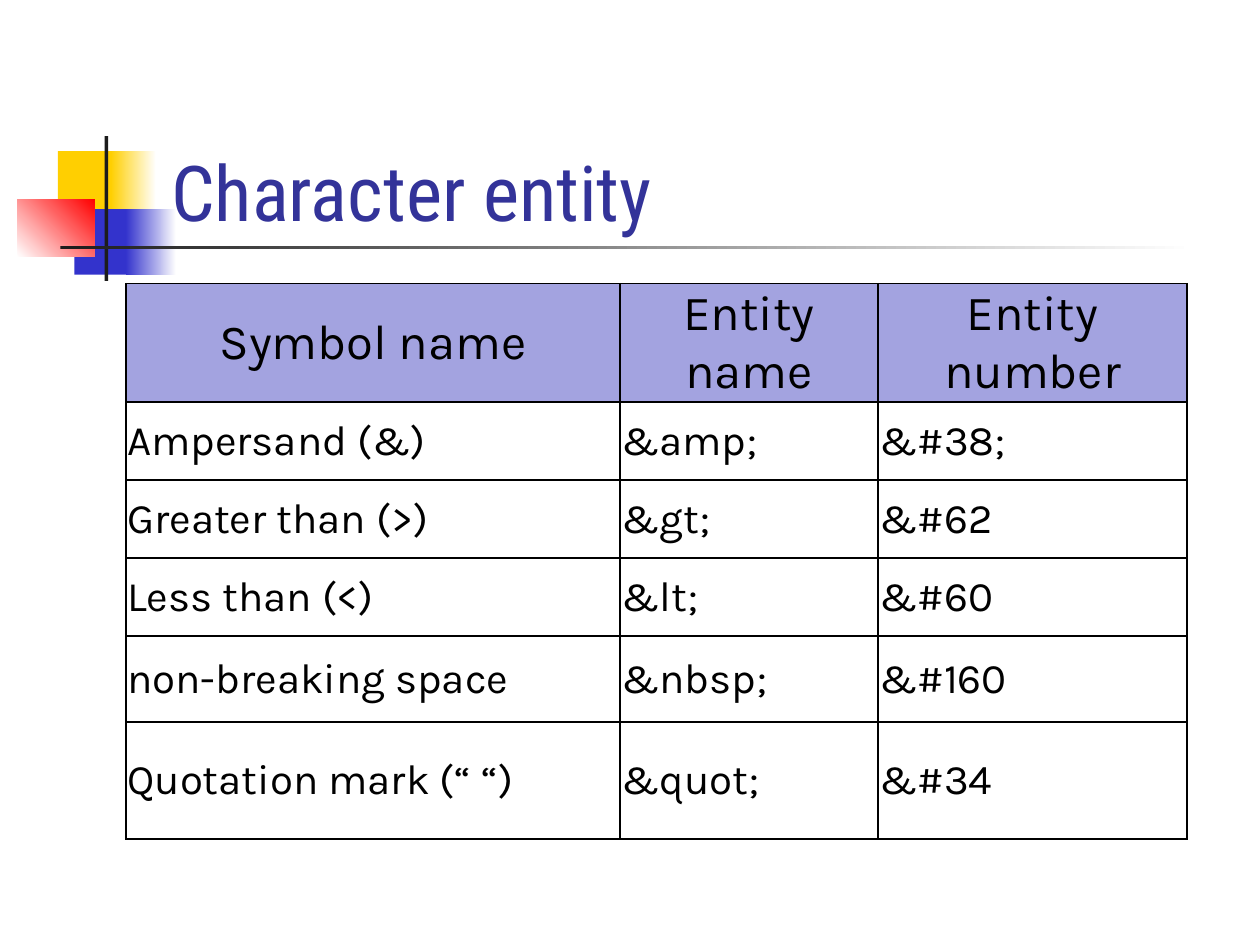
from pptx import Presentation
from pptx import util as u
from pptx.dml import color
from pptx.enum import shapes, text
from pptx.oxml import parse_xml
from pptx.oxml import ns

YELLOW = color.RGBColor(0xFF, 0xCF, 0x01)
BLUE = color.RGBColor(0x33, 0x33, 0xCC)
RED = color.RGBColor(0xFF, 0x00, 0x00)
WHITE = color.RGBColor(0xFF, 0xFF, 0xFF)
CHARCOAL = color.RGBColor(0x1C, 0x1C, 0x1C)
BLACK = color.RGBColor(0x00, 0x00, 0x00)
INDIGO = color.RGBColor(0x33, 0x33, 0x99)
LILAC = color.RGBColor(0xA3, 0xA3, 0xE0)

ORNAMENTS = [
    ((0.46, 1.2, 0.48, 0.52), [YELLOW], 0),
    ((0.88, 1.2, 0.36, 0.52), [YELLOW, WHITE], 0),
    ((0.59, 1.66, 0.46, 0.52), [BLUE], 0),
    ((1, 1.66, 0.4, 0.52), [BLUE, WHITE], 0),
    ((0.14, 1.58, 0.61, 0.46), [WHITE, RED], 45),
    ((0.83, 1.08, 0.03, 1.15), [CHARCOAL], 0),
    ((0.48, 1.95, 9, 0.03), [CHARCOAL, WHITE], 0),
]
COLUMN_WIDTHS = [3.92, 2.05, 2.45]
ROW_HEIGHTS = [0.94, 0.62, 0.62, 0.62, 0.68, 0.93]
ENTITIES = [
    ("Symbol name", "Entity name", "Entity number"),
    ("Ampersand (&)", "&amp;", "&#38;"),
    ("Greater than (>)", "&gt;", "&#62"),
    ("Less than (<)", "&lt;", "&#60"),
    ("non-breaking space", "&nbsp;", "&#160"),
    ("Quotation mark (“ “)", "&quot;", "&#34"),
]


def apply(target, formats):
    for name, value in formats.items():
        setattr(target, name, value)


class SlideBuilder:
    title_font = {"name": "Roboto Condensed", "size": u.Pt(44), "bold": False}
    header_font = {"name": "Karla", "size": u.Pt(28), "bold": False}
    body_font = {**header_font, "size": u.Pt(24)}
    cell_format = {
        "margin_left": u.Inches(0.01),
        "margin_right": u.Inches(0.01),
        "margin_top": u.Inches(0.01),
        "margin_bottom": 0,
        "vertical_anchor": text.MSO_ANCHOR.MIDDLE,
    }

    def __init__(self, page):
        self.page = page

    def wording(self, para, words, font, rgb, align):
        para.alignment = align
        span = para.add_run()
        span.text = words
        apply(span.font, font)
        span.font.color.rgb = rgb

    def ornament(self, bounds, colours, angle):
        box = self.page.shapes.add_shape(
            shapes.MSO_SHAPE.RECTANGLE, *map(u.Inches, bounds)
        )
        box.shadow.inherit = False
        box.line.fill.background()
        if len(colours) == 1:
            box.fill.solid()
            box.fill.fore_color.rgb = colours[0]
            return
        box.fill.gradient()
        box.fill.gradient_angle = angle
        for position, (stop, rgb) in enumerate(zip(box.fill.gradient_stops, colours)):
            stop.position = position
            stop.color.rgb = rgb

    def title(self, words, bounds):
        box = self.page.shapes.title
        apply(box, dict(zip(("left", "top", "width", "height"), map(u.Inches, bounds))))
        apply(box.text_frame, {
            "margin_left": u.Inches(0.1),
            "margin_right": u.Inches(0.1),
            "margin_top": u.Inches(0.05),
            "margin_bottom": u.Inches(0.05),
            "vertical_anchor": text.MSO_ANCHOR.BOTTOM,
            "word_wrap": True,
        })
        self.wording(box.text_frame.paragraphs[0], words, self.title_font, INDIGO,
                     text.PP_ALIGN.LEFT)
        box.element.getparent().append(box.element)

    def borders(self, cell):
        properties = cell._tc.get_or_add_tcPr()
        for index, side in enumerate(("lnL", "lnR", "lnT", "lnB")):
            properties.insert(index, parse_xml(
                f'<a:{side} {ns.nsdecls("a")} w="{u.Pt(1)}"><a:solidFill>'
                f'<a:srgbClr val="{BLACK}"/></a:solidFill></a:{side}>'
            ))

    def cell(self, cell, words, is_header):
        apply(cell, self.cell_format)
        if is_header:
            cell.fill.solid()
            cell.fill.fore_color.rgb = LILAC
            font, align = self.header_font, text.PP_ALIGN.CENTER
        else:
            cell.fill.background()
            font, align = self.body_font, text.PP_ALIGN.LEFT
        self.wording(cell.text_frame.paragraphs[0], words, font, BLACK, align)
        self.borders(cell)

    def table(self, rows, left, top, widths, heights):
        grid = self.page.shapes.add_table(
            len(rows), len(widths), u.Inches(left), u.Inches(top),
            u.Inches(sum(widths)), u.Inches(sum(heights)),
        ).table
        apply(grid, {"first_row": False, "horz_banding": False})
        for column, width in zip(grid.columns, widths):
            column.width = u.Inches(width)
        for index, (row, height) in enumerate(zip(grid.rows, heights)):
            row.height = u.Inches(height)
            for cell, words in zip(row.cells, rows[index]):
                self.cell(cell, words, index == 0)


def main():
    deck = Presentation()
    apply(deck, {"slide_width": u.Inches(10), "slide_height": u.Inches(7.5)})
    builder = SlideBuilder(deck.slides.add_slide(deck.slide_layouts[5]))
    for bounds, colours, angle in ORNAMENTS:
        builder.ornament(bounds, colours, angle)
    builder.title("Character entity", (1.26, 0.68, 8.52, 1.25))
    builder.table(ENTITIES, 1, 2.25, COLUMN_WIDTHS, ROW_HEIGHTS)
    deck.save("out.pptx")


if __name__ == "__main__":
    main()
